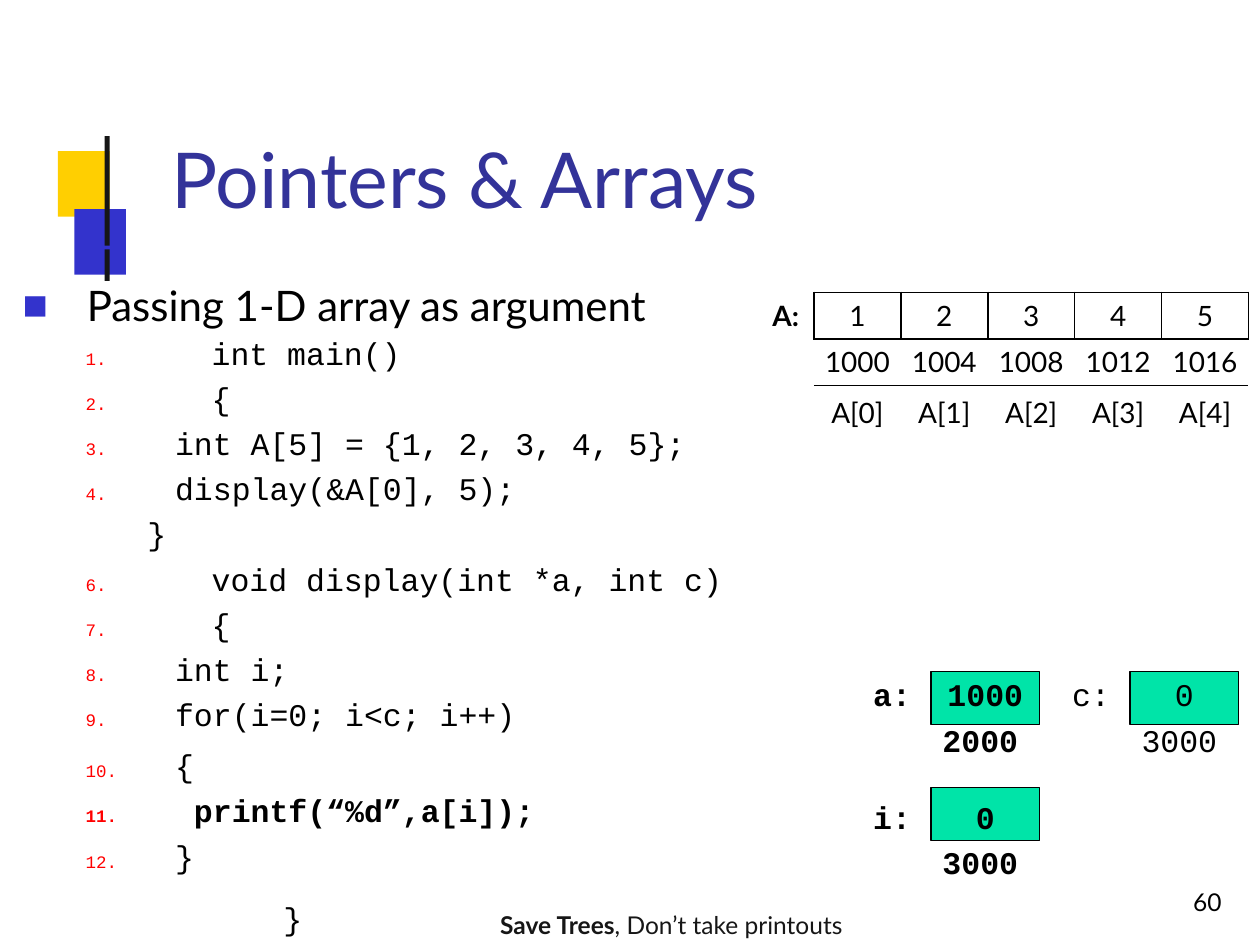
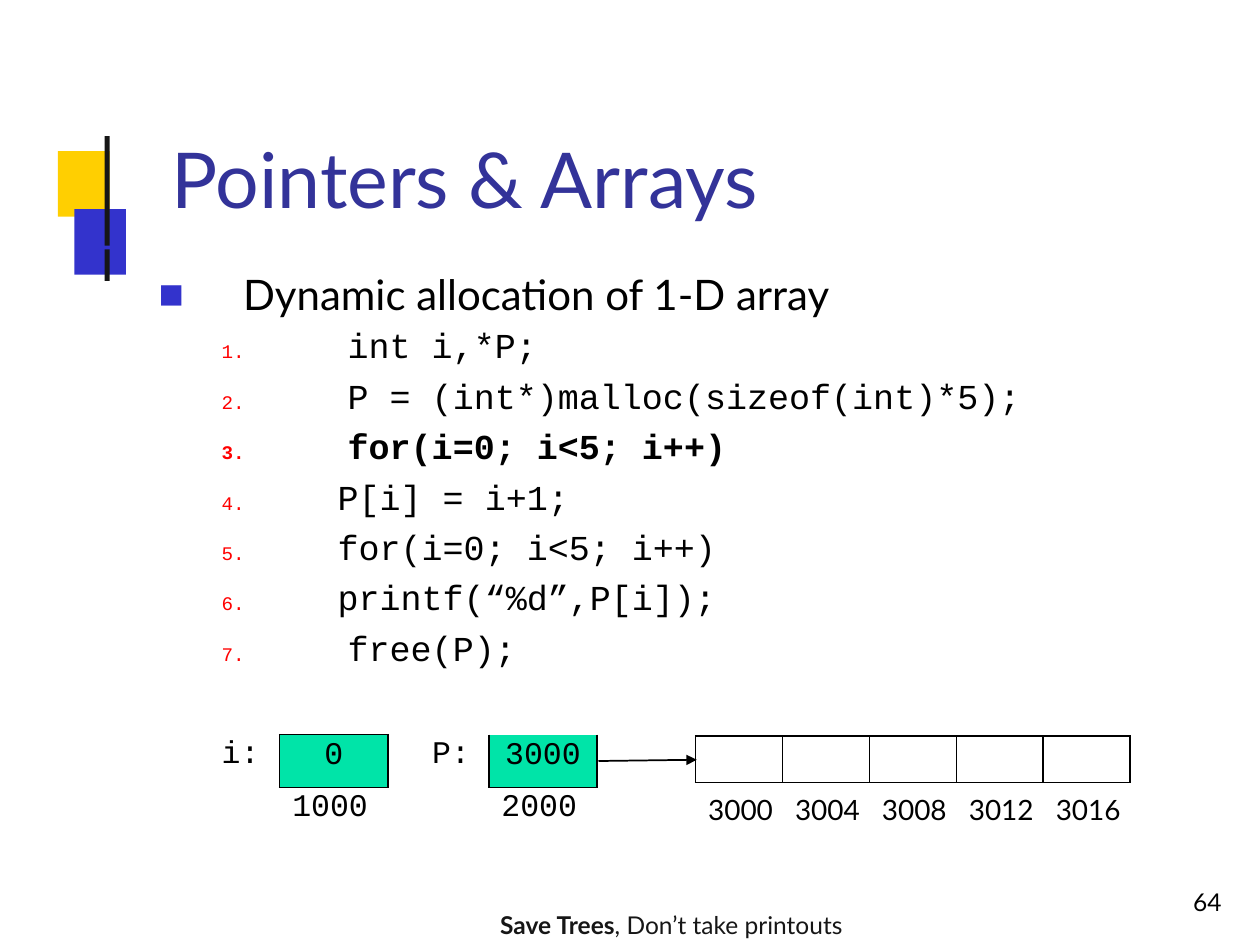
from lxml import etree
from pptx import Presentation, util as u
from pptx.dml.color import RGBColor
from pptx.enum import shapes, text
from pptx.oxml.ns import qn

# Content: listing rows are (number, code, code offset, bold, extra space before in pt)
TITLE = "Pointers & Arrays"
FOOTER = [("Save Trees", True), (", Don’t take printouts", False)]

PASSING = dict(
    heading="Passing 1-D array as argument", heading_at=(18, 222), hang=51, page="60",
    listing_at=(68, 265), code_size="code", number_size="number", gap=4.2,
    listing=[
        ("1.", "int main()", 100, False, 0),
        ("2.", "{", 100, False, 0),
        ("3.", "int A[5] = {1, 2, 3, 4, 5};", 71, False, 0),
        ("4.", "display(&A[0], 5);", 71, False, 0),
        ("", "}", 49, False, 0),
        ("6.", "void display(int *a, int c)", 100, False, 0),
        ("7.", "{", 100, False, 0),
        ("8.", "int i;", 71, False, 0),
        ("9.", "for(i=0; i<c; i++)", 71, False, 0),
        ("10.", "{", 71, False, 3.5),
        ("11.", "printf(“%d”,a[i]);", 86, True, 0),
        ("12.", "}", 71, False, 0),
        ("", "}", 157, False, 10),
    ])
DYNAMIC = dict(
    heading="Dynamic allocation of 1-D array", heading_at=(126, 213), hang=67, page="64",
    listing_at=(176, 257), code_size="code_big", number_size="number_big", gap=4.8,
    listing=[
        ("1.", "int i,*P;", 100, False, 0),
        ("2.", "P = (int*)malloc(sizeof(int)*5);", 100, False, 0),
        ("3.", "for(i=0; i<5; i++)", 100, True, 0),
        ("4.", "P[i] = i+1;", 92, False, 0),
        ("5.", "for(i=0; i<5; i++)", 92, False, 0),
        ("6.", "printf(“%d”,P[i]);", 92, False, 0),
        ("7.", "free(P);", 100, False, 0),
    ])
ARRAY_VALUES = [1, 2, 3, 4, 5]
# name, value, address, box left, box top, bold, text drop
VARIABLES = [
    ("a:", "1000", "2000", 739, 533, True, 0),
    ("c:", "0", "3000", 897, 533, False, 0),
    ("i:", "0", "3000", 739, 625, True, 5),
]

THEME = dict(
    colors=dict(yellow="FFCF01", blue="3333CC", bar="161616", title="333399",
                ink="000000", number="FF0000", memory="00E4A8"),
    sizes=dict(title=44, heading=24, code=18, code_big=20, number=10, number_big=11,
               cell=16, footer=14),
    body="Lato", mono="Courier New")
ALIGN = dict(l=text.PP_ALIGN.LEFT, c=text.PP_ALIGN.CENTER)
NO_STYLE = "{2D5ABB26-0587-4C30-8999-92F81FD0307C}"
CELL_W = 69
BOX_W, BOX_H = 86, 42


def px(n):
    return u.Emu(n * 9144)


def color(name):
    return RGBColor.from_string(THEME["colors"][name])


def add_run(p, words, size, font="body", ink="ink", bold=False):
    r = p.add_run()
    r.text = words
    for key, value in dict(name=THEME[font], size=u.Pt(THEME["sizes"][size]), bold=bold).items():
        setattr(r.font, key, value)
    r.font.color.rgb = color(ink)


def set_frame(tf, top=0):
    for key, value in dict(margin_left=0, margin_right=0, margin_top=px(top), margin_bottom=0,
                           word_wrap=True, vertical_anchor=text.MSO_ANCHOR.TOP).items():
        setattr(tf, key, value)
    return tf


def add_text(s, x, y, w, h):
    return set_frame(s.shapes.add_textbox(px(x), px(y), px(w), px(h)).text_frame)


def add_rect(s, x, y, w, h, fill, line=None):
    sp = s.shapes.add_shape(shapes.MSO_SHAPE.RECTANGLE, px(x), px(y), px(w), px(h))
    sp.shadow.inherit = False
    sp.fill.solid()
    sp.fill.fore_color.rgb = color(fill)
    if line:
        sp.line.color.rgb = color(line)
        sp.line.width = u.Pt(1)
    else:
        sp.line.fill.background()
    return sp


# Parts every slide shares
def add_base(prs, page):
    s = prs.slides.add_slide(prs.slide_layouts[6])
    for block in [(46, 120, 41, 52, "yellow"), (59, 166, 41, 52, "blue"),
                  (83, 198, 4, 25, "bar"), (83, 108, 4, 87, "bar")]:
        add_rect(s, *block)
    add_run(add_text(s, 136, 104, 700, 75).paragraphs[0], TITLE, "title", ink="title")
    add_run(add_text(s, 947, 704, 40, 25).paragraphs[0], page, "footer")
    p = add_text(s, 397, 722, 330, 25).paragraphs[0]
    for words, bold in FOOTER:
        add_run(p, words, "footer", ink="bar", bold=bold)
    return s


def add_heading(s, words, at, hang):
    p = add_text(s, *at, 560, 42).paragraphs[0]
    pPr = p._p.get_or_add_pPr()
    pPr.set("marL", str(px(hang)))
    pPr.set("indent", str(-px(hang)))
    clr = etree.SubElement(pPr, qn("a:buClr"))
    etree.SubElement(clr, qn("a:srgbClr"), val=THEME["colors"]["blue"])
    etree.SubElement(pPr, qn("a:buFont"), typeface="Arial")
    etree.SubElement(pPr, qn("a:buChar"), char="■")
    add_run(p, words, "heading")


def add_listing(s, rows, at, code_size, number_size, gap):
    tf = add_text(s, *at, 700, len(rows) * 36)
    for i, (number, code, offset, bold, extra) in enumerate(rows):
        p = tf.add_paragraph() if i else tf.paragraphs[0]
        if i:
            p.space_before = u.Pt(gap + extra)
        pPr = p._p.get_or_add_pPr()
        if number:
            tabs = etree.SubElement(pPr, qn("a:tabLst"))
            etree.SubElement(tabs, qn("a:tab"), pos=str(px(offset)), algn="l")
            add_run(p, number + "\t", number_size, "mono", "number", bold)
        else:
            pPr.set("marL", str(px(offset)))
        add_run(p, code, code_size, "mono", bold=bold)


def start_slide(prs, c):
    s = add_base(prs, c["page"])
    add_heading(s, c["heading"], c["heading_at"], c["hang"])
    add_listing(s, c["listing"], c["listing_at"], c["code_size"], c["number_size"], c["gap"])
    return s


# Tables: a cell is a dict with words, run format, alignment, indent, spacing, edges and fill
def cell(words="", edges="", top=5, align="c", indent=0, spacing=None, fill=None, **fmt):
    return dict(words=words, edges=edges, top=top, align=align, indent=indent,
                spacing=spacing, fill=fill, fmt={"size": "cell", **fmt})


def fill_cell(tc, c):
    for key, value in dict(margin_left=0, margin_right=0, margin_top=px(c["top"]),
                           margin_bottom=0).items():
        setattr(tc, key, value)
    p = tc.text_frame.paragraphs[0]
    p.alignment = ALIGN[c["align"]]
    if c["spacing"]:
        p.line_spacing = c["spacing"]
    if c["indent"]:
        p._p.get_or_add_pPr().set("marL", str(px(c["indent"])))
    if c["words"]:
        add_run(p, c["words"], **c["fmt"])
    tcPr = tc._tc.get_or_add_tcPr()
    for side in "LRTB":
        if side in c["edges"]:
            ln = etree.SubElement(tcPr, qn("a:ln" + side), w=str(u.Pt(1)))
            solid = etree.SubElement(ln, qn("a:solidFill"))
            etree.SubElement(solid, qn("a:srgbClr"), val=THEME["colors"]["ink"])
    if c["fill"]:
        tc.fill.solid()
        tc.fill.fore_color.rgb = color(c["fill"])
    else:
        tc.fill.background()


def add_grid(s, x, y, widths, heights, rows):
    tbl = s.shapes.add_table(len(heights), len(widths), px(x), px(y),
                             px(sum(widths)), px(sum(heights))).table
    tbl.first_row = tbl.horz_banding = False
    tbl._tbl.tblPr.find(qn("a:tableStyleId")).text = NO_STYLE
    for col, w in zip(tbl.columns, widths):
        col.width = px(w)
    for row, h, cells in zip(tbl.rows, heights, rows):
        row.height = px(h)
        for tc, c in zip(row.cells, cells):
            fill_cell(tc, c)


def add_variable(s, name, value, address, x, y, bold, drop):
    sp = add_rect(s, x, y, BOX_W, BOX_H, "memory", "ink")
    p = set_frame(sp.text_frame, 3 + drop).paragraphs[0]
    p.alignment = ALIGN["c"]
    add_run(p, value, "code", "mono", bold=bold)
    for words, dx, dy in [(name, -46, 3), (address, 9, 39)]:
        p = add_text(s, x + dx, y + dy + drop, 75, 32).paragraphs[0]
        add_run(p, words, "code", "mono", bold=bold)


def build_passing(prs):
    s = start_slide(prs, PASSING)
    add_grid(s, 599, 232, [47] + [CELL_W] * 5, [37, 37, 32], [
        [cell("A:", "R", align="l", indent=14, bold=True)]
        + [cell(str(v), "LRTB") for v in ARRAY_VALUES],
        [cell()] + [cell(str(1000 + 4 * i), "TB") for i in range(5)],
        [cell()] + [cell(f"A[{i}]", "T", spacing=1.14) for i in range(5)],
    ])
    for variable in VARIABLES:
        add_variable(s, *variable)


def build_dynamic(prs):
    s = start_slide(prs, DYNAMIC)
    add_grid(s, 552, 584, [CELL_W] * 5, [37, 32], [
        [cell(edges="LRTB") for _ in range(5)],
        [cell(str(3000 + 4 * i), "T", align="l", indent=10, spacing=1.14) for i in range(5)],
    ])
    mono = dict(size="code", font="mono")
    add_grid(s, 173, 583, [49, BOX_W, 80, BOX_W], [BOX_H, 29], [
        [cell("i:", "R", 2, "l", 3, **mono),
         cell("0", "LRTB", 3, fill="memory", **mono),
         cell("P:", "LR", 2, "l", 35, **mono),
         cell("3000", "LRB", 3, "l", 13, fill="memory", **mono)],
        [cell(top=0), cell("1000", "T", 0, "l", 10, 1.07, **mono),
         cell(top=0), cell("2000", "T", 0, "l", 10, 1.07, **mono)],
    ])
    # Pointer arrow from P to the allocated cells
    cn = s.shapes.add_connector(shapes.MSO_CONNECTOR.STRAIGHT, px(475), px(604), px(553), px(603))
    cn.line.color.rgb = color("ink")
    cn.line.width = u.Pt(1)
    etree.SubElement(cn.line._get_or_add_ln(), qn("a:tailEnd"), type="triangle", w="med", len="med")
    etree.SubElement(cn._element.spPr, qn("a:effectLst"))


def main():
    prs = Presentation()
    prs.slide_width, prs.slide_height = px(1000), px(750)
    build_passing(prs)
    build_dynamic(prs)
    prs.save("out.pptx")


if __name__ == "__main__":
    main()
